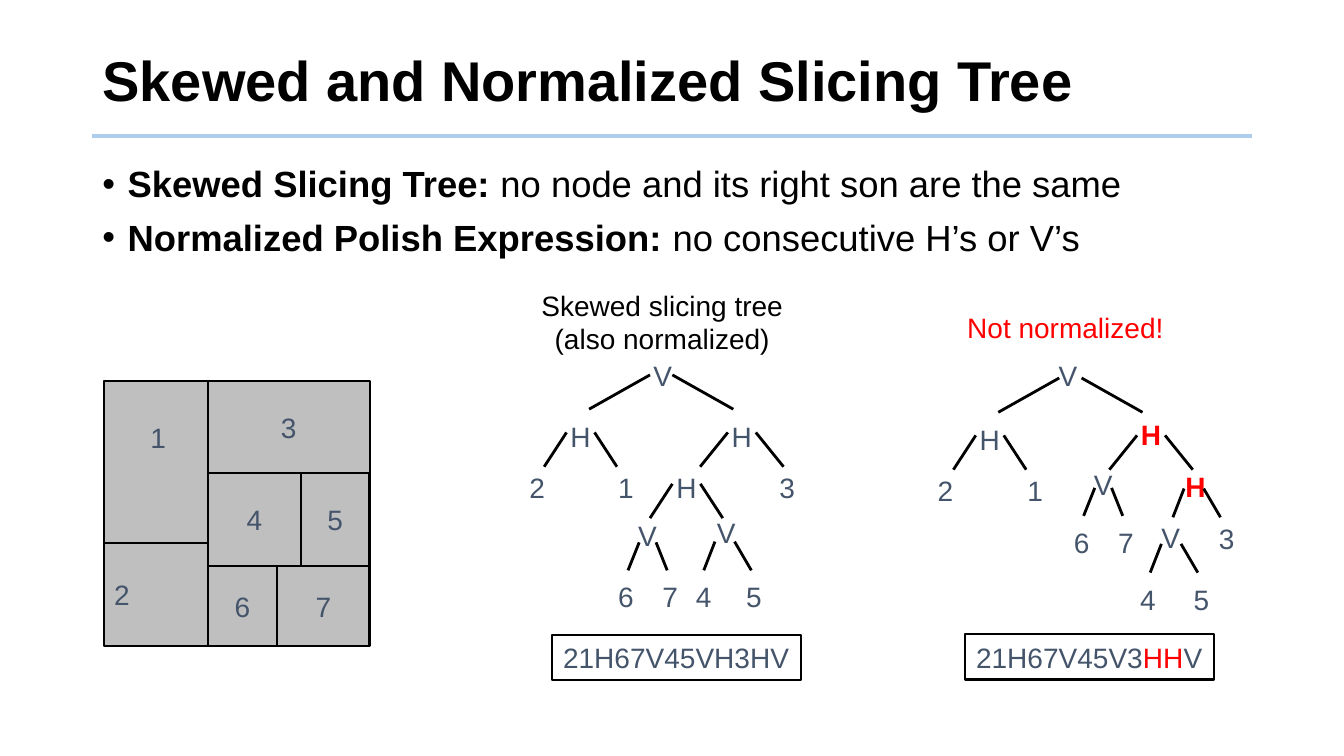
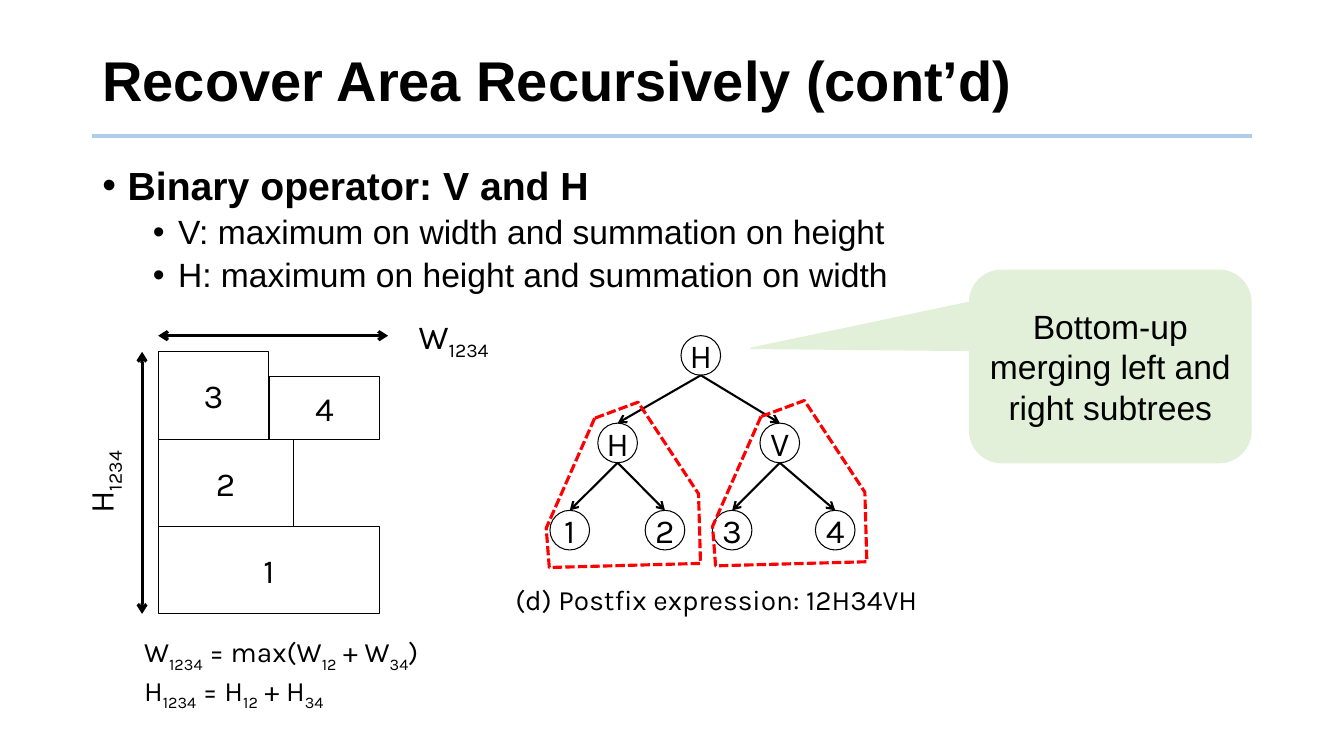
from lxml import etree
from pptx import Presentation
from pptx.dml.color import RGBColor
from pptx.enum.dml import MSO_LINE
from pptx.enum.shapes import MSO_CONNECTOR, MSO_SHAPE
from pptx.enum.text import MSO_ANCHOR, MSO_AUTO_SIZE, PP_ALIGN
from pptx.oxml.ns import qn
from pptx.util import Pt

# Shared look
BLACK = RGBColor(0x00, 0x00, 0x00)
RED = RGBColor(0xFF, 0x00, 0x00)
SLATE = RGBColor(0x44, 0x54, 0x6A)
GRAY = RGBColor(0xBF, 0xBF, 0xBF)
RULE_BLUE = RGBColor(0xAD, 0xCD, 0xEA)
PALE_GREEN = RGBColor(0xE2, 0xF0, 0xD9)
LEFT, WIDTH = 66, 828

# Tree forks: half gap at the top, left reach, right reach, drop
WIDE = (8, 43.5, 43.5, 24.5)
MEDIUM = (10, 16, 16, 24.5)
MEDIUM_OPEN = (10, 19.8, 19.8, 24.5)
TIGHT = (6, 8, 8, 20)
UNEVEN = (7, 8, 12, 20.5)


# Accents for marked runs
def bold(r):
    r.font.bold = True


def red(r):
    r.font.color.rgb = RED


def subscript(r):
    r._r.get_or_add_rPr().set("baseline", "-25000")


def write(p, text, size, font="Arial", color=BLACK, accent=None):
    """Fill a paragraph; every second part between bars gets the accent."""
    for i, part in enumerate(text.split("|")):
        if part:
            r = p.add_run()
            r.text = part
            r.font.size, r.font.name = Pt(size), font
            r.font.color.rgb = color
            r.font.bold = False
            if i % 2:
                accent(r)


# Element builders
def start_slide(prs, title, bullets):
    s = prs.slides.add_slide(prs.slide_layouts[1])
    sp = s.shapes.title
    place(sp, LEFT, 20, WIDTH, 79)
    tf = sp.text_frame
    tf.auto_size, tf.vertical_anchor = MSO_AUTO_SIZE.NONE, MSO_ANCHOR.MIDDLE
    tf.text = title
    p = tf.paragraphs[0]
    p.alignment, p.line_spacing = PP_ALIGN.LEFT, 0.9
    font = p.runs[0].font
    font.name, font.size, font.bold = "Arial", Pt(40), True
    font.color.rgb = BLACK

    line(s, (LEFT, 97.2), (LEFT + WIDTH, 97.2), 3, RULE_BLUE)

    sp = s.placeholders[1]
    place(sp, LEFT, 115.2, WIDTH, 370.8)
    tf = sp.text_frame
    tf.auto_size = MSO_AUTO_SIZE.NONE
    for i, (level, size, text) in enumerate(bullets):
        p = tf.add_paragraph() if i else tf.paragraphs[0]
        p.level = level
        pPr = p._p.get_or_add_pPr()
        pPr.set("marL", str(Pt(18 + 36 * level)))
        pPr.set("indent", str(Pt(-18)))
        for tag, name, value in (("buFont", "typeface", "Arial"), ("buChar", "char", "•")):
            etree.SubElement(pPr, qn("a:" + tag)).set(name, value)
        p.line_spacing = 0.9
        p.space_before = Pt((5 if level else 10) if i else 0)
        write(p, text, size, accent=bold)
    return s


def place(sp, x, y, w, h):
    sp.left, sp.top, sp.width, sp.height = Pt(x), Pt(y), Pt(w), Pt(h)


def line(s, start, end, width, color=BLACK, head=False, tail=False):
    c = s.shapes.add_connector(MSO_CONNECTOR.STRAIGHT, *(Pt(v) for v in start + end))
    c.line.width = Pt(width)
    c.line.color.rgb = color
    ln = c.line._get_or_add_ln()
    for tag, wanted in (("headEnd", head), ("tailEnd", tail)):
        if wanted:
            etree.SubElement(ln, qn("a:" + tag)).set("type", "arrow")
    etree.SubElement(c._element.spPr, qn("a:effectLst"))
    return c


def text_box(s, x, y, w, h, lines, size, align=PP_ALIGN.CENTER, **style):
    sp = s.shapes.add_textbox(Pt(x), Pt(y), Pt(w), Pt(h))
    tf = sp.text_frame
    tf.word_wrap = True
    for i, text in enumerate(lines):
        p = tf.add_paragraph() if i else tf.paragraphs[0]
        p.alignment = align
        write(p, text, size, **style)
    return sp


def shape(s, kind, x, y, w, h, text, size, fill=None, border=BLACK, width=0.75,
          margin=0, align=PP_ALIGN.CENTER, **style):
    sp = s.shapes.add_shape(kind, Pt(x), Pt(y), Pt(w), Pt(h))
    sp.shadow.inherit = False
    if fill is None:
        sp.fill.background()
    else:
        sp.fill.solid()
        sp.fill.fore_color.rgb = fill
    sp.line.color.rgb = border
    sp.line.width = Pt(width)
    tf = sp.text_frame
    tf.word_wrap, tf.vertical_anchor = True, MSO_ANCHOR.MIDDLE
    tf.margin_left = tf.margin_right = Pt(margin)
    tf.margin_top = tf.margin_bottom = 0
    tf.paragraphs[0].alignment = align
    write(tf.paragraphs[0], text, size, **style)
    return sp


def slicing_tree(s, nodes, forks):
    for label, x, y in nodes:
        sp = text_box(s, x - 15, y - 15.5, 30, 31, [label], 20, color=SLATE,
                      accent=lambda r: (bold(r), red(r)))
        sp.text_frame.margin_left = sp.text_frame.margin_right = 0
    for x, y, (gap, left, right, drop) in forks:
        line(s, (x - gap, y), (x - gap - left, y + drop), 2)
        line(s, (x + gap, y), (x + gap + right, y + drop), 2)


def expression(s, x, y, text):
    shape(s, MSO_SHAPE.RECTANGLE, x, y, 178, 32.4, text, 20, width=1.5,
          color=SLATE, accent=red)


def dashed_outline(s, points):
    (x0, y0), *rest = [(Pt(x), Pt(y)) for x, y in points]
    fb = s.shapes.build_freeform(x0, y0)
    fb.add_line_segments(rest, close=True)
    sp = fb.convert_to_shape()
    sp.shadow.inherit = False
    sp.fill.background()
    sp.line.color.rgb = RED
    sp.line.width = Pt(2.25)
    sp.line.dash_style = MSO_LINE.SQUARE_DOT


# Slides
def skewed_tree_slide(prs):
    s = start_slide(prs, "Skewed and Normalized Slicing Tree", [
        (0, 26, "|Skewed Slicing Tree: |no node and its right son are the same"),
        (0, 26, "|Normalized Polish Expression: |no consecutive H’s or V’s"),
    ])

    # Floorplan: label and its left, top, right, bottom edges
    x0, x1, x2, x3, x4 = 74.5, 148.5, 198, 214.8, 264
    y0, y1, y2, y3, y4 = 272.3, 338.2, 387.7, 404.2, 461.5
    rooms = {}
    for label, left, top, right, bottom in (
            ("1", x0, y0, x1, y2), ("6", x1, y3, x2, y4), ("2", x0, y2, x1, y4),
            ("3", x1, y0, x4, y1), ("5", x3, y1, x4, y3), ("4", x1, y1, x3, y3),
            ("7", x2, y3, x4, y4)):
        rooms[label] = shape(s, MSO_SHAPE.RECTANGLE, left, top, right - left,
                             bottom - top, label, 20, GRAY, width=1.5, margin=7.2,
                             color=SLATE)
    rooms["1"].text_frame.margin_bottom = Pt(36)
    rooms["1"].text_frame.margin_left = Pt(10)
    rooms["2"].text_frame.paragraphs[0].alignment = PP_ALIGN.LEFT

    # Normalized tree
    slicing_tree(s, [
        ("V", 473.4, 268.2), ("H", 414.7, 311.4), ("H", 529.9, 311.4),
        ("2", 383.8, 348), ("1", 447.1, 348), ("H", 490.3, 348), ("3", 562.3, 348),
        ("V", 462.6, 382), ("V", 518.8, 380.5),
        ("6", 447.1, 426), ("7", 478.8, 426), ("4", 502.6, 426), ("5", 538.6, 426),
    ], [
        (472.3, 267.8, WIDE), (414.7, 308.9, MEDIUM), (529.9, 308.9, MEDIUM_OPEN),
        (490.3, 345.6, MEDIUM), (462.6, 387.4, TIGHT), (517.7, 386.9, UNEVEN),
    ])
    expression(s, 394, 453.6, "21H67V45VH3HV")

    # Tree that is not normalized
    slicing_tree(s, [
        ("V", 762.8, 268.2), ("H", 707, 313.6), ("|H", 822.2, 310),
        ("2", 675.4, 350.3), ("1", 739.4, 350.3), ("V", 788, 346), ("|H", 853.9, 347.4),
        ("6", 772.6, 387.4), ("7", 804.2, 387.4), ("V", 836.3, 383.4), ("3", 876.2, 384.5),
        ("4", 820, 428), ("5", 858.2, 428),
    ], [
        (764.6, 270, WIDE), (707, 311, MEDIUM), (822.2, 311, MEDIUM_OPEN),
        (788, 348.5, TIGHT), (852.8, 349, UNEVEN), (836.6, 388.5, UNEVEN),
    ])
    expression(s, 689, 453, "21H67V45V3|HH|V")

    # Tree captions
    text_box(s, 370.8, 202.3, 204.5, 55.4,
             ["Skewed slicing tree", "(also normalized)"], 20)
    text_box(s, 658.8, 218.2, 204.5, 31.7, ["Not normalized!"], 20, color=RED)


def recover_area_slide(prs):
    s = start_slide(prs, "Recover Area Recursively (cont’d)", [
        (0, 28, "|Binary operator: V and H"),
        (1, 24, "V: maximum on width and summation on height"),
        (1, 24, "H: maximum on height and summation on width"),
    ])
    callout = shape(s, MSO_SHAPE.ROUNDED_RECTANGULAR_CALLOUT, 692.6, 193, 201, 137.5,
                    "Bottom-up merging left and right subtrees", 24, PALE_GREEN,
                    PALE_GREEN, 1, margin=7.2)
    for i, value in enumerate((-1.278, -0.094, 0.167)):
        callout.adjustments[i] = value

    # Stacked blocks with their dimensions
    x, y, row = 113, 251.3, 62.4
    for label, left, top, w, h in (
            ("1", x, y + 2 * row, 158.4, row), ("2", x, y + row, 96.5, row),
            ("3", x, y, 79.2, row), ("4", x + 79.2, y + 17.3, 79.2, row - 17.3)):
        shape(s, MSO_SHAPE.RECTANGLE, left, top, w, h, label, 24, font="Karla")
    line(s, (101.5, y), (101.5, y + 3 * row), 2.25, head=True, tail=True)
    line(s, (x, 239.8), (277.2, 239.8), 2.25, head=True, tail=True)
    karla = dict(font="Karla", accent=subscript)
    height = text_box(s, 26.6, 324.7, 93.6, 39.6, ["H|1234"], 24, **karla)
    height.rotation = 270
    text_box(s, 236.2, 221.8, 175.7, 39.6, ["W|1234"], 24, **karla)

    # Operator tree: label, centre and parent
    d = 28.3
    nodes = []
    for label, cx, cy, parent in (
            ("H", 500.6, 253.9, None), ("H", 441.2, 316.4, 0), ("V", 557, 316.4, 0),
            ("1", 407, 378.7, 1), ("2", 475, 378.7, 1),
            ("3", 523, 378.7, 2), ("4", 596.6, 378.7, 2)):
        sp = shape(s, MSO_SHAPE.OVAL, cx - d / 2, cy - d / 2, d, d, label, 24, font="Karla")
        if parent is not None:
            px, py = nodes[parent]
            c = line(s, (px, py + d / 2), (cx, cy - d / 2), 1.5, tail=True)
            c.end_connect(sp, 0)
        nodes.append((cx, cy))

    # Captions
    text_box(s, 339, 412.6, 345.6, 31, ["(d) Postfix expression: 12H34VH"], 20, **karla)
    text_box(s, 95.8, 450, 255, 62,
             ["W|1234| = max(W|12| + W|34|)", "H|1234| = H|12| + H|34"],
             20, PP_ALIGN.LEFT, **karla)

    # Subtree outlines
    outline = [(424.8, 298.8), (390.2, 377.3), (392.4, 405.4),
               (500.4, 402.5), (499, 352.8), (455.8, 287.3)]
    for dx, dy in ((0, 0), (118.8, -1.2)):
        dashed_outline(s, [(px + dx, py + dy) for px, py in outline])


def main():
    prs = Presentation()
    prs.slide_width, prs.slide_height = Pt(960), Pt(540)
    skewed_tree_slide(prs)
    recover_area_slide(prs)
    prs.save("out.pptx")


if __name__ == "__main__":
    main()
